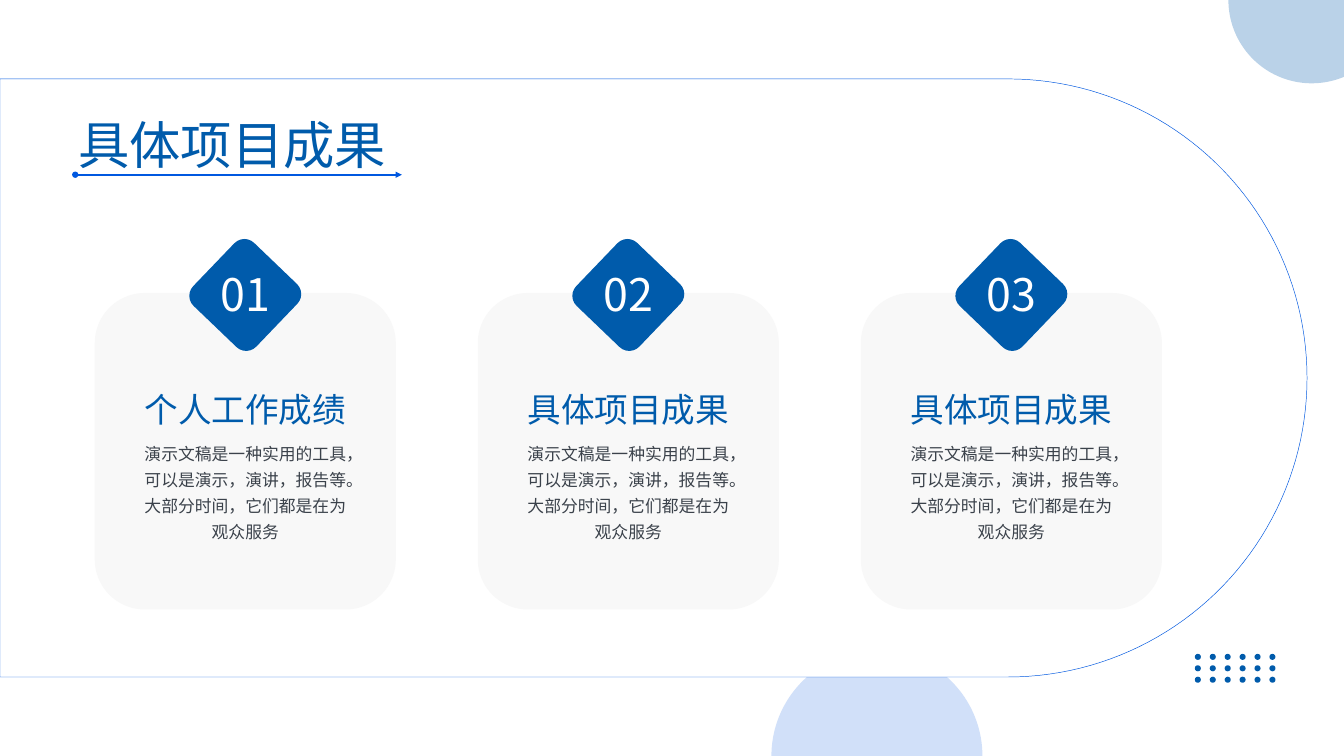
"""Build the project results slide with three numbered cards."""
from dataclasses import dataclass
from itertools import product
from math import acos, cos, degrees, radians, sin

from lxml.etree import SubElement
from pptx import Presentation
from pptx.dml.color import RGBColor
from pptx.enum.shapes import MSO_CONNECTOR, MSO_SHAPE
from pptx.enum.text import MSO_ANCHOR, MSO_AUTO_SIZE, PP_ALIGN
from pptx.oxml.ns import qn
from pptx.util import Inches, Pt


@dataclass(frozen=True)
class Theme:
    """Colours, font and type sizes of the slide."""
    navy: str = "005BAB"
    blue: str = "0058E0"
    ink: str = "3B424B"
    card: str = "F8F8F8"
    white: str = "FFFFFF"
    font: str = "Noto Sans CJK SC"
    title: float = 55
    number: float = 48
    heading: float = 36
    body: float = 18


THEME = Theme()
SLIDE_W, SLIDE_H = 20, 11.25
CARD_LEFT, CARD_PITCH, CARD_W = 1.41, 5.7, 4.48
DESCRIPTION = "演示文稿是一种实用的工具，可以是演示，演讲，报告等。大部分时间，它们都是在为观众服务"
HEADINGS = ["个人工作成绩", "具体项目成果", "具体项目成果"]


def paint(shape, color, opacity=100):
    """Give a shape a flat fill without shadow or outline."""
    shape.shadow.inherit = False
    shape.line.fill.background()
    shape.fill.solid()
    shape.fill.fore_color.rgb = RGBColor.from_string(color)
    if opacity < 100:
        swatch = shape.element.spPr.find(qn("a:solidFill"))[0]
        SubElement(swatch, qn("a:alpha"), val=str(opacity * 1000))


def add_preset(shapes, kind, left, top, width, height, color):
    """Add a flat preset shape."""
    shape = shapes.add_shape(kind, Inches(left), Inches(top), Inches(width), Inches(height))
    paint(shape, color)
    return shape


def add_arc_outline(shapes, center, radius, start, end, color, corners=(), opacity=100):
    """Add a closed outline made of a circular arc followed by straight corners."""
    steps = 90
    angles = [radians(start + (end - start) * step / steps) for step in range(steps + 1)]
    arc = [(center[0] + radius * cos(a), center[1] + radius * sin(a)) for a in angles]
    points = [(Inches(x), Inches(y)) for x, y in [*arc, *corners]]
    builder = shapes.build_freeform(*points[0])
    builder.add_line_segments(points[1:], close=True)
    shape = builder.convert_to_shape()
    paint(shape, color, opacity)
    return shape


def write(shape, text, size, color, spacing):
    """Write one centred paragraph with exact line spacing."""
    frame = shape.text_frame
    frame.word_wrap = True
    frame.auto_size = MSO_AUTO_SIZE.SHAPE_TO_FIT_TEXT
    frame.vertical_anchor = MSO_ANCHOR.TOP
    frame.margin_left = frame.margin_right = frame.margin_top = frame.margin_bottom = 0
    frame.text = text
    paragraph = frame.paragraphs[0]
    paragraph.alignment = PP_ALIGN.CENTER
    paragraph.line_spacing = Pt(spacing)
    paragraph.font.size = Pt(size)
    paragraph.font.name = THEME.font
    paragraph.font.color.rgb = RGBColor.from_string(color)
    defaults = paragraph._p.pPr.find(qn("a:defRPr"))
    SubElement(defaults, qn("a:ea"), typeface=THEME.font)


def add_label(shapes, center, top, width, height, text, size, color, spacing):
    """Add a text box centred on a vertical axis."""
    label = shapes.add_textbox(Inches(center - width / 2), Inches(top), Inches(width), Inches(height))
    write(label, text, size, color, spacing)


def add_dot_grid(shapes):
    """Add the grid of small dots at the lower right."""
    dots = shapes.add_group_shape().shapes
    for row, column in product(range(3), range(6)):
        left, top = 17.78 + 0.222 * column, 9.73 + 0.17 * row
        add_preset(dots, MSO_SHAPE.OVAL, left, top, 0.09, 0.09, THEME.navy)


def add_panel(shapes):
    """Add the white panel with a round right end and a hairline edge."""
    panel = add_arc_outline(shapes, (15, 5.625), 4.45, -90, 90, THEME.white,
                            [(0, 10.075), (0, 1.175)])
    panel.line.color.rgb = RGBColor.from_string(THEME.blue)
    panel.line.width = Pt(0.5)


def add_title(shapes):
    """Place the title in front of the panel with its arrow underline."""
    underline = shapes.add_connector(MSO_CONNECTOR.STRAIGHT, Inches(1.12), Inches(2.6),
                                     Inches(5.98), Inches(2.6))
    underline.line.color.rgb = RGBColor.from_string(THEME.blue)
    underline.line.width = Pt(2.25)
    edge = underline.line._get_or_add_ln()
    SubElement(edge, qn("a:headEnd"), type="oval")
    SubElement(edge, qn("a:tailEnd"), type="triangle")
    SubElement(underline.element.spPr, qn("a:effectLst"))

    title = shapes.title
    title.left, title.top = Inches(0.75), Inches(1.69)
    title.width, title.height = Inches(5.41), Inches(0.93)
    write(title, "具体项目成果", THEME.title, THEME.navy, 66)
    underline.element.addnext(title.element)


def add_card(shapes, index, heading):
    """Add one card with its numbered diamond, heading and description."""
    left = CARD_LEFT + CARD_PITCH * index
    center = left + CARD_W / 2
    add_preset(shapes, MSO_SHAPE.ROUNDED_RECTANGLE, left, 4.36, CARD_W, 4.71, THEME.card)
    diamond = add_preset(shapes, MSO_SHAPE.ROUNDED_RECTANGLE, center - 0.65, 3.74, 1.3, 1.3,
                         THEME.navy)
    diamond.adjustments[0] = 0.16
    diamond.rotation = 43.8
    add_label(shapes, center, 3.97, 1.65, 0.78, f"{index + 1:02}", THEME.number, THEME.white, 57.6)
    add_label(shapes, center, 5.79, 3.03, 0.6, heading, THEME.heading, THEME.navy, 43.2)
    add_label(shapes, center, 6.51, 3.13, 1.55, DESCRIPTION, THEME.body, THEME.ink, 28.1)


def main():
    """Build and save the slide."""
    presentation = Presentation()
    presentation.slide_width, presentation.slide_height = Inches(SLIDE_W), Inches(SLIDE_H)
    shapes = presentation.slides.add_slide(presentation.slide_layouts[5]).shapes

    add_arc_outline(shapes, (13.05, SLIDE_H), 1.57, 180, 360, THEME.blue, opacity=18)
    add_dot_grid(shapes)
    add_panel(shapes)
    add_title(shapes)
    for index, heading in enumerate(HEADINGS):
        add_card(shapes, index, heading)
    corner_x, corner_radius = 19.52, 1.24
    edge_angle = degrees(acos((SLIDE_W - corner_x) / corner_radius))
    add_arc_outline(shapes, (corner_x, 0), corner_radius, 180, edge_angle, THEME.navy,
                    [(SLIDE_W, 0)], opacity=27)
    presentation.save("out.pptx")


if __name__ == "__main__":
    main()
